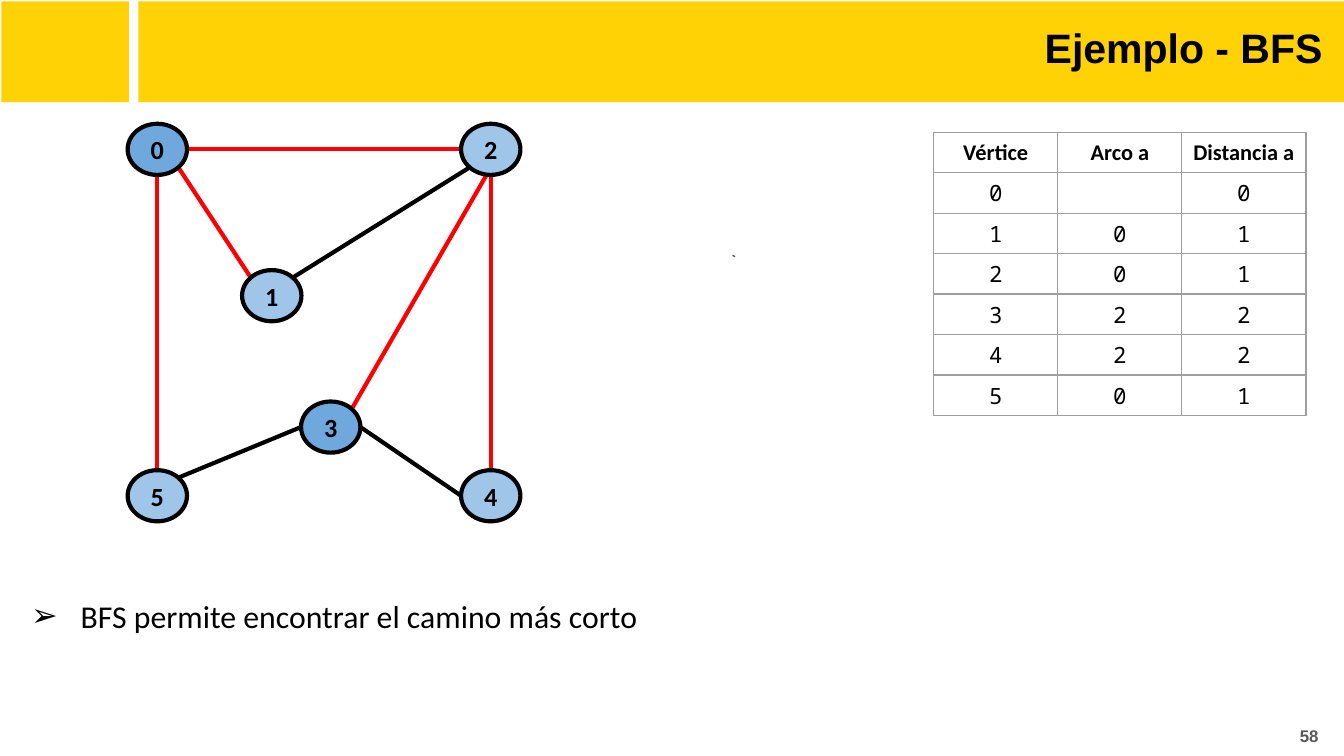
from math import cos, sin, radians
from lxml.etree import SubElement as Sub
from pptx import Presentation
from pptx.dml.color import RGBColor
from pptx.enum.shapes import MSO_CONNECTOR as Conn, MSO_SHAPE as Shp
from pptx.enum.text import MSO_ANCHOR as Anc, MSO_AUTO_SIZE as Fit, PP_ALIGN as Al
from pptx.oxml.ns import qn
from pptx.util import Pt

# Content
TITLE = "Ejemplo - BFS"
POINT = "BFS permite encontrar el camino más corto"
PAGE = "58"
ROWS = [
    ("Vértice", "Arco a", "Distancia a"),
    ("0", "", "0"),
    ("1", "0", "1"),
    ("2", "0", "1"),
    ("3", "2", "2"),
    ("4", "2", "2"),
    ("5", "0", "1"),
]
DARK, PALE = "6FA8DC", "9FC5E8"
RED, BLACK, GRAY, GOLD = "FF0000", "000000", "595959", "FED205"
# Vertex: centre x, centre y, fill
NODES = {
    "0": (84.3, 80, DARK),
    "1": (145.6, 158.4, PALE),
    "2": (262.9, 80, PALE),
    "3": (177.2, 228.8, DARK),
    "4": (262.9, 265.6, PALE),
    "5": (84.3, 265.6, PALE),
}
# Edge: vertex, angle on its rim, vertex, angle on its rim, colour
EDGES = [
    ("2", -45, "3", -45, RED),
    ("0", 45, "1", 225, RED),
    ("0", 0, "2", 180, RED),
    ("0", 90, "5", -90, RED),
    ("3", 180, "5", -45, BLACK),
    ("4", 180, "3", 0, BLACK),
    ("4", -90, "2", 90, RED),
    ("2", 135, "1", -45, BLACK),
]
NODE_W, NODE_H = 31.8, 27.4
COL_W, ROW_H = 66.5, 21.7
PAD = 7.2


def tint(hue):
    return RGBColor.from_string(hue)


def place(shape, x, y, w, h):
    shape.left, shape.top, shape.width, shape.height = Pt(x), Pt(y), Pt(w), Pt(h)


def style(par, size, face, hue=BLACK, bold=False, align=Al.CENTER):
    par.alignment = align
    for run in par.runs:
        font = run.font
        font.size, font.name, font.bold = Pt(size), face, bold
        font.color.rgb = tint(hue)


def frame(shape, text, anchor, pad=PAD):
    tf = shape.text_frame
    tf.text = text
    tf.word_wrap, tf.auto_size, tf.vertical_anchor = True, Fit.NONE, anchor
    tf.margin_left = tf.margin_right = tf.margin_top = tf.margin_bottom = Pt(pad)
    return tf.paragraphs[0]


def block(kind, x, y, w, h, fill, edge=None):
    shape = slide.shapes.add_shape(kind, Pt(x), Pt(y), Pt(w), Pt(h))
    shape.shadow.inherit = False
    shape.fill.solid()
    shape.fill.fore_color.rgb = tint(fill)
    if edge:
        shape.line.color.rgb, shape.line.width = tint(edge), Pt(2.25)
    else:
        shape.line.fill.background()
    return shape


def stroke(start, end, hue, width=2.25):
    ends = [Pt(v) for v in (*start, *end)]
    line = slide.shapes.add_connector(Conn.STRAIGHT, *ends)
    line.line.color.rgb, line.line.width = tint(hue), Pt(width)
    Sub(line._element.spPr, qn("a:effectLst"))


def rim(name, angle):
    x, y, _ = NODES[name]
    turn = radians(angle)
    return x + NODE_W / 2 * cos(turn), y + NODE_H / 2 * sin(turn)


def border(cell):
    props = cell._tc.get_or_add_tcPr()
    for side in ("lnL", "lnR", "lnT", "lnB"):
        line = Sub(props, qn("a:" + side), w=str(Pt(0.75)))
        Sub(Sub(line, qn("a:solidFill")), qn("a:srgbClr"), val="9E9E9E")


deck = Presentation()
deck.slide_width, deck.slide_height = Pt(720), Pt(405)
slide = deck.slides.add_slide(deck.slide_layouts[1])
title, body = slide.placeholders

# Header band, kept behind the title
tree = slide.shapes._spTree
for x, w in ((74.2, 645.8), (0.7, 68.4)):
    band = block(Shp.RECTANGLE, x, 0.7, w, 54, GOLD)
    tree.remove(band._element)
    tree.insert(2, band._element)
place(title, 77.8, 5, 637.9, 45.4)
style(frame(title, TITLE, Anc.TOP), 22, "Arial", bold=True, align=Al.RIGHT)

# Graph
for a, turn_a, b, turn_b, hue in EDGES:
    stroke(rim(a, turn_a), rim(b, turn_b), hue)
for name, (x, y, fill) in NODES.items():
    node = block(Shp.OVAL, x - NODE_W / 2, y - NODE_H / 2, NODE_W, NODE_H, fill, BLACK)
    style(frame(node, name, Anc.MIDDLE), 14, "Calibri", bold=True)
stroke((393.8, 137.5), (392.4, 136.8), GRAY, 0.75)

# Distance table
count, span = len(ROWS), len(ROWS[0])
grid = slide.shapes.add_table(count, span, Pt(500.2), Pt(70.8),
                              Pt(COL_W * span), Pt(ROW_H * count)).table
grid.horz_banding = grid.first_row = False
for col in grid.columns:
    col.width = Pt(COL_W)
for r, row in enumerate(ROWS):
    grid.rows[r].height = Pt(ROW_H)
    for c, text in enumerate(row):
        cell = grid.cell(r, c)
        cell.text = text
        cell.vertical_anchor = Anc.MIDDLE
        cell.margin_left = cell.margin_right = Pt(1.44)
        cell.margin_top = cell.margin_bottom = Pt(1.44)
        border(cell)
        cell.fill.background()
        par = cell.text_frame.paragraphs[0]
        style(par, 12, "Noto Sans Mono" if r else "Calibri", bold=r == 0)
        if not text:
            Sub(par._p, qn("a:endParaRPr"), sz="1200")

# Closing point
place(body, 0, 302.4, 699.8, 78.5)
par = frame(body, POINT, Anc.TOP)
par.line_spacing, par.space_before = 1.5, Pt(0)
props = par._p.get_or_add_pPr()
props.set("marL", str(Pt(36)))
props.set("indent", str(Pt(-26.6)))
Sub(Sub(props, qn("a:buClr")), qn("a:srgbClr"), val=BLACK)
Sub(props, qn("a:buFont"), typeface="Calibri")
Sub(props, qn("a:buChar"), char="➢")
style(par, 17, "Calibri", align=Al.LEFT)

# Page number
num = slide.shapes.add_textbox(Pt(681.8), Pt(378.7), Pt(31.7), Pt(31))
style(frame(num, PAGE, Anc.MIDDLE), 9, "Arial", GRAY, True, Al.RIGHT)

deck.save("out.pptx")
